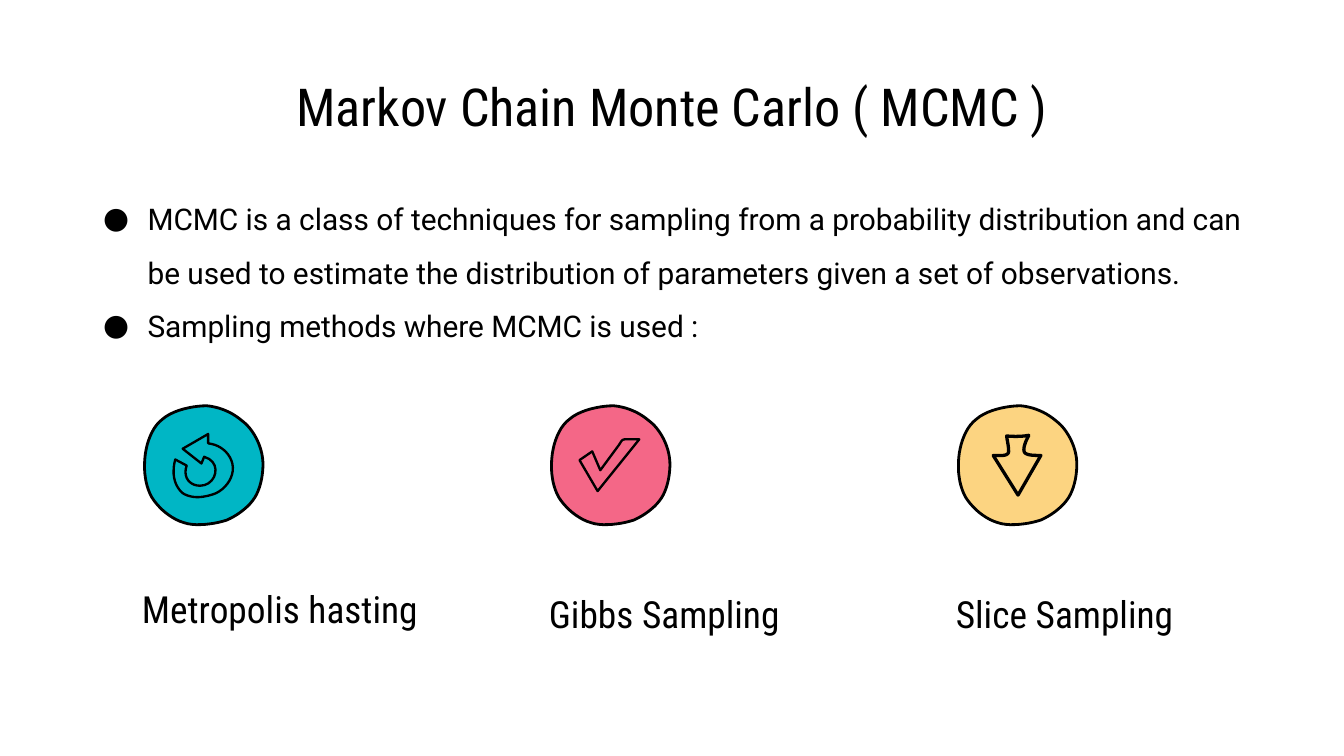
from lxml import etree
from pptx import Presentation
from pptx.dml.color import RGBColor
from pptx.enum.text import MSO_ANCHOR, MSO_AUTO_SIZE, PP_ALIGN
from pptx.oxml.ns import qn
from pptx.util import Pt

TOP, NO_FIT = MSO_ANCHOR.TOP, MSO_AUTO_SIZE.NONE
LEFT, CENTER = PP_ALIGN.LEFT, PP_ALIGN.CENTER
BLACK = RGBColor(0x00, 0x00, 0x00)
TEAL = RGBColor(0x00, 0xB6, 0xC5)
PINK = RGBColor(0xF4, 0x67, 0x87)
YELLOW = RGBColor(0xFC, 0xD4, 0x81)
BODY_FONT, HEAD_FONT = "Roboto", "Roboto Condensed"

# Content
TITLE = "Markov Chain Monte Carlo ( MCMC )"
BULLETS = [
    "MCMC is a class of techniques for sampling from a probability distribution "
    "and can be used to estimate the distribution of parameters given a set of "
    "observations.",
    "Sampling methods where MCMC is used :",
]

# Outlines on a grid of 0.72 pt: a pair is a corner, six numbers are a Bezier curve
GRID = 0.72
BADGE = [(47, 0), (57, 1, 66, 5, 73, 11), (80, 16, 86, 26, 88, 36),
         (90, 45, 88, 58, 84, 66), (80, 74, 71, 81, 62, 85),
         (53, 88, 39, 90, 30, 87), (20, 84, 11, 76, 6, 68),
         (1, 59, 0, 48, 1, 38), (2, 28, 6, 16, 14, 10), (22, 3, 37, 0, 47, 0)]
LOOP = [(48, 21), (48, 28), (57, 29, 64, 35, 66, 43), (68, 52, 62, 61, 54, 65),
        (49, 67, 44, 68, 40, 68), (36, 68, 32, 67, 29, 65),
        (22, 59, 21, 49, 23.5, 40), (32, 44.5), (29, 53, 34, 59.5, 42, 59.5),
        (54, 59.5, 59, 42, 45, 38), (43, 43), (29, 32)]
CHECK = [(66, 25), (35, 63.5), (21.5, 40.5), (31, 34), (37, 48), (51, 29),
         (53, 26, 53, 25, 56, 25)]
ARROW = [(53, 22), (51, 26, 48, 32, 50, 35), (52, 37, 57, 37, 62, 37),
         (45, 66.5), (26.5, 37), (31, 37, 38, 38, 38, 34),
         (38, 30, 37, 26, 36.5, 22.5), (42, 23, 48, 23, 53, 22)]

# Label, label top, badge colour, icon, icon line width
METHODS = [
    ("Metropolis hasting", 306.7, TEAL, LOOP, 1.25),
    ("Gibbs Sampling", 309.6, PINK, CHECK, 1.25),
    ("Slice Sampling", 309.6, YELLOW, ARROW, 1.75),
]
LABEL_LEFT, BADGE_LEFT, BADGE_TOP, PITCH = 69, 77, 217.4, 218


def set_text(sp, box, lines, font, size, align=LEFT):
    sp.left, sp.top, sp.width, sp.height = [Pt(v) for v in box]
    tf = sp.text_frame
    tf.word_wrap, tf.auto_size, tf.vertical_anchor = True, NO_FIT, TOP
    tf.margin_left = tf.margin_right = tf.margin_top = tf.margin_bottom = Pt(7.2)
    for i, line in enumerate(lines):
        p = tf.add_paragraph() if i else tf.paragraphs[0]
        p.alignment = align
        r = p.add_run()
        r.text = line
        r.font.name, r.font.size = font, Pt(size)
        r.font.color.rgb = BLACK
    return tf


def add_bullet(p):
    pPr = p._p.get_or_add_pPr()
    pPr.set("marL", str(Pt(36)))
    pPr.set("indent", str(Pt(-23.8)))
    etree.SubElement(pPr, qn("a:buFont")).set("typeface", BODY_FONT)
    etree.SubElement(pPr, qn("a:buChar")).set("char", "●")


def flatten(outline, steps=10):
    points = []
    for seg in outline:
        if len(seg) == 2:
            points.append(seg)
            continue
        x0, y0 = points[-1]
        x1, y1, x2, y2, x3, y3 = seg
        for n in range(1, steps + 1):
            t = n / steps
            u = 1 - t
            a, b, c, d = u ** 3, 3 * u * u * t, 3 * u * t * t, t ** 3
            points.append((a * x0 + b * x1 + c * x2 + d * x3,
                           a * y0 + b * y1 + c * y2 + d * y3))
    return points


def add_outline(left, outline, width, fill=None):
    pts = [(Pt(x * GRID), Pt(y * GRID)) for x, y in flatten(outline)]
    builder = s.shapes.build_freeform(*pts[0])
    builder.add_line_segments(pts[1:], close=True)
    sp = builder.convert_to_shape(Pt(left), Pt(BADGE_TOP))
    sp.shadow.inherit = False
    if fill is None:
        sp.fill.background()
    else:
        sp.fill.solid()
        sp.fill.fore_color.rgb = fill
    sp.line.color.rgb = BLACK
    sp.line.width = Pt(width)


prs = Presentation()
prs.slide_width, prs.slide_height = Pt(720), Pt(405)
s = prs.slides.add_slide(prs.slide_layouts[5])

# Title and bullets
set_text(s.shapes.title, (36, 32.4, 648, 45.4), [TITLE], HEAD_FONT, 28, CENTER)
body = s.shapes.add_textbox(0, 0, 0, 0)
tf = set_text(body, (36, 90.7, 648, 269.3), BULLETS, BODY_FONT, 16)
for p in tf.paragraphs:
    p.line_spacing = 1.5
    add_bullet(p)

# Sampling methods: badge, icon and label
for i, (label, label_top, colour, icon, width) in enumerate(METHODS):
    shift = i * PITCH
    add_outline(BADGE_LEFT + shift, BADGE, 1.5, colour)
    add_outline(BADGE_LEFT + shift, icon, width)
    set_text(s.shapes.add_textbox(0, 0, 0, 0),
             (LABEL_LEFT + shift, label_top, 170.6, 33.8), [label], HEAD_FONT, 20)

prs.save("out.pptx")
